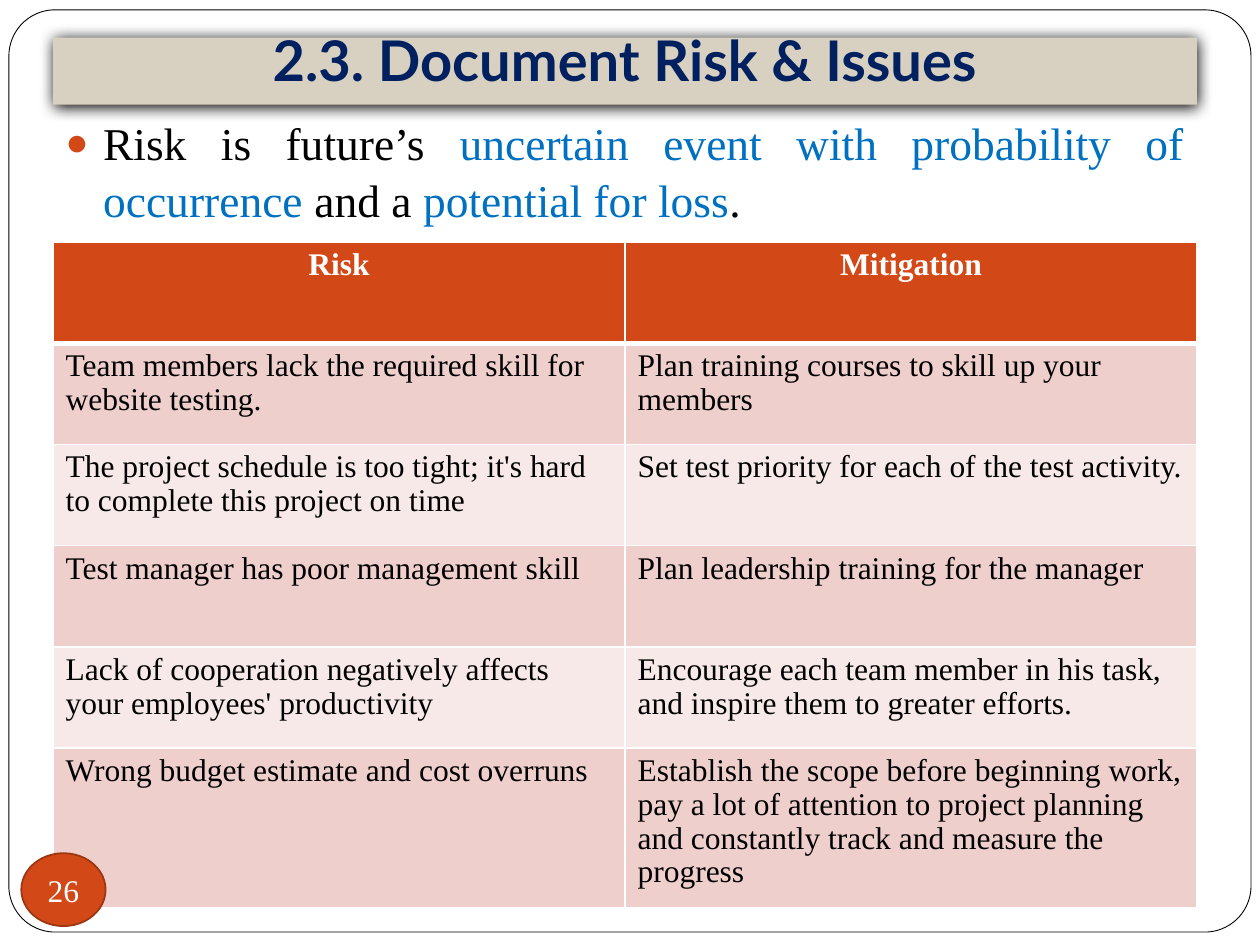
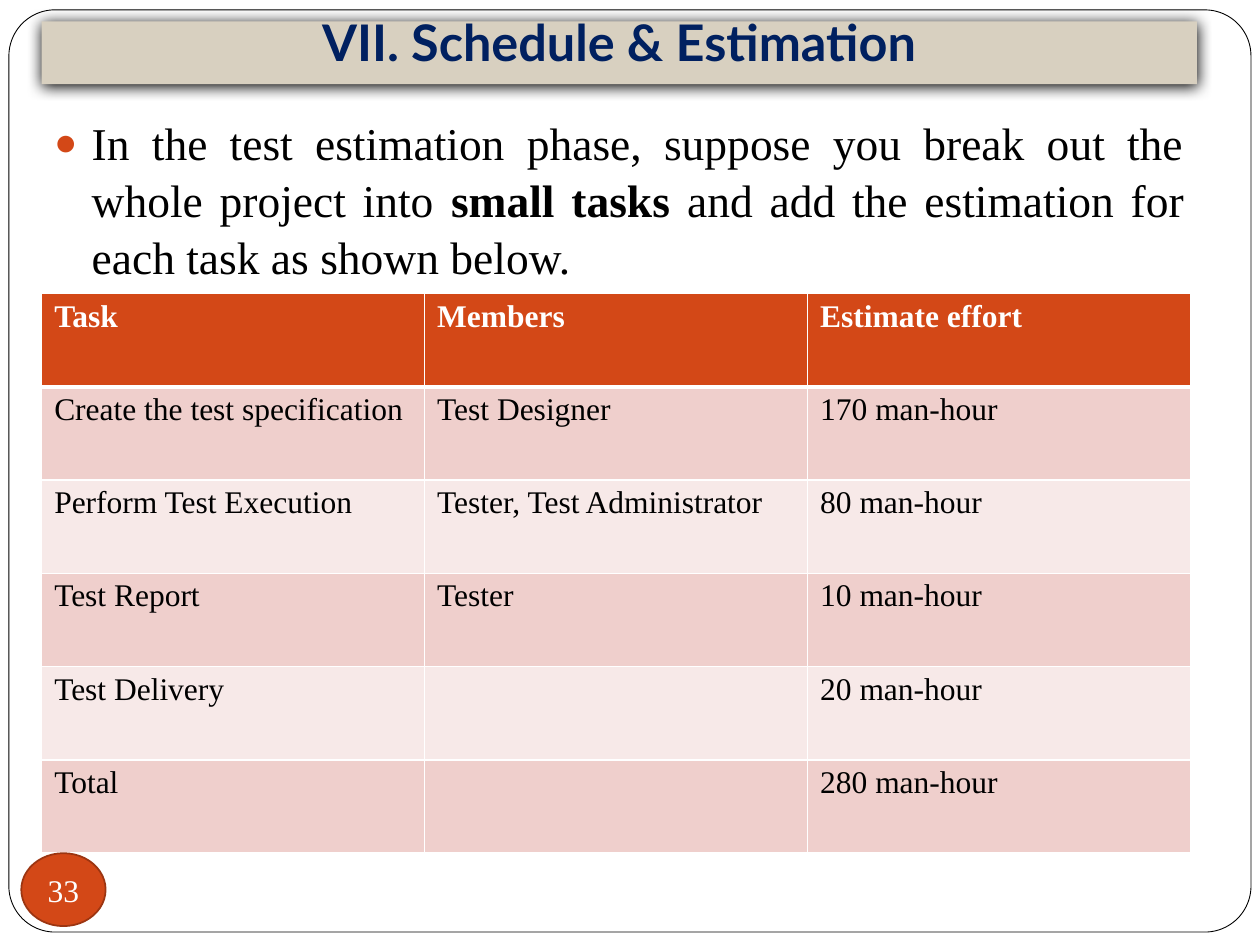
from dataclasses import dataclass

from lxml.etree import SubElement
from pptx import Presentation
from pptx.dml.color import RGBColor
from pptx.enum.shapes import MSO_SHAPE
from pptx.enum.text import MSO_ANCHOR, PP_ALIGN
from pptx.oxml.ns import qn
from pptx.util import Cm, Pt


@dataclass(frozen=True)
class Theme:
    white: str = "FFFFFF"
    black: str = "000000"
    band: str = "D8D0C0"
    navy: str = "002060"
    blue: str = "0070C0"
    accent: str = "D34817"
    accent_edge: str = "9C3511"
    row_fills: tuple = ("F7E9E8", "EFCFCC")
    title_font: str = "Lato"
    text_font: str = "Times New Roman"
    body_size: float = 26
    table_size: float = 18


THEME = Theme()

FRAME = (0.18, 0.2, 25.04, 18.59)
BADGE = (0.43, 17.2, 1.7, 1.47)
BODY_TOP = 2.11

SLIDES = [
    {
        "title": "2.3. Document Risk & Issues",
        "title_size": 32,
        "title_box": (1.07, 0.76, 23.06, 1.35),
        "body_height": 15.44,
        "body": [
            ("Risk is future’s ", {}),
            ("uncertain event with probability of occurrence ", {"color": THEME.blue}),
            ("and a ", {}),
            ("potential for loss", {"color": THEME.blue}),
            (".", {}),
        ],
        "table_top": 4.88,
        "table_width": 23.06,
        "row_heights": [2.04] * 5 + [2.96],
        "header_align": PP_ALIGN.CENTER,
        "rows": [
            ("Risk", "Mitigation"),
            ("Team members lack the required skill for website testing.",
             "Plan training courses to skill up your members"),
            ("The project schedule is too tight; it's hard to complete this project on time",
             "Set test priority for each of the test activity."),
            ("Test manager has poor management skill",
             "Plan leadership training for the manager"),
            ("Lack of cooperation negatively affects your employees' productivity",
             "Encourage each team member in his task, and inspire them to greater efforts."),
            ("Wrong budget estimate and cost overruns",
             "Establish the scope before beginning work, pay a lot of attention to project "
             "planning and constantly track and measure the progress"),
        ],
        "number": "26",
    },
    {
        "title": "VII. Schedule & Estimation",
        "title_size": 28.8,
        "title_box": (0.84, 0.43, 23.29, 1.27),
        "body_height": 16.41,
        "body": [
            ("In the test estimation phase, suppose you break out the whole project into ", {}),
            ("small tasks ", {"bold": True}),
            ("and add the estimation for each task as shown below.", {}),
        ],
        "table_top": 5.92,
        "table_width": 23.16,
        "row_heights": [1.88] * 6,
        "header_align": PP_ALIGN.LEFT,
        "rows": [
            ("Task", "Members", "Estimate effort"),
            ("Create the test specification", "Test Designer", "170 man-hour"),
            ("Perform Test Execution", "Tester, Test Administrator", "80 man-hour"),
            ("Test Report", "Tester", "10 man-hour"),
            ("Test Delivery", "", "20 man-hour"),
            ("Total", "", "280 man-hour"),
        ],
        "number": "33",
    },
]


def centimetres(box):
    return [Cm(value) for value in box]


def write(text_frame, text, *, size, font=THEME.text_font, color=THEME.black, bold=False,
          align=PP_ALIGN.LEFT, spacing=None, bullet=None):
    paragraph = text_frame.paragraphs[0]
    if bullet:
        add_bullet(paragraph, bullet)
    paragraph.alignment = align
    if spacing:
        paragraph.line_spacing = spacing
    pieces = [(text, {})] if isinstance(text, str) else text
    for words, changes in pieces:
        run = paragraph.add_run()
        run.text = words
        run.font.name = font
        run.font.size = Pt(size)
        run.font.bold = changes.get("bold", bold)
        run.font.color.rgb = RGBColor.from_string(changes.get("color", color))


def add_bullet(paragraph, character):
    properties = paragraph._p.get_or_add_pPr()
    properties.set("marL", str(Cm(0.76)))
    properties.set("indent", str(-Cm(0.76)))
    color = SubElement(properties, qn("a:buClr"))
    SubElement(color, qn("a:srgbClr"), val=THEME.accent)
    SubElement(properties, qn("a:buSzPct"), val="85000")
    SubElement(properties, qn("a:buFont"), typeface=THEME.text_font)
    SubElement(properties, qn("a:buChar"), char=character)


def add_panel(slide, kind, box, fill, line=None, line_width=0):
    shape = slide.shapes.add_shape(kind, *centimetres(box))
    shape.shadow.inherit = False
    shape.fill.solid()
    shape.fill.fore_color.rgb = RGBColor.from_string(fill)
    if line:
        shape.line.color.rgb = RGBColor.from_string(line)
        shape.line.width = Pt(line_width)
    else:
        shape.line.fill.background()
    return shape


def add_frame(slide):
    frame = add_panel(slide, MSO_SHAPE.ROUNDED_RECTANGLE, FRAME, THEME.white, THEME.black, 0.5)
    frame.adjustments[0] = 0.05


def add_title(slide, content):
    band = add_panel(slide, MSO_SHAPE.RECTANGLE, content["title_box"], THEME.band)
    effects = band._element.spPr.find(qn("a:effectLst"))
    shadow = SubElement(effects, qn("a:outerShdw"), blurRad=str(Pt(8.5)), dist=str(Pt(1)),
                        dir="5400000", algn="ctr", rotWithShape="0")
    SubElement(shadow, qn("a:srgbClr"), val=THEME.black)
    text_frame = band.text_frame
    text_frame.word_wrap = True
    text_frame.vertical_anchor = MSO_ANCHOR.BOTTOM
    text_frame.margin_bottom = Cm(0.25)
    write(text_frame, content["title"], size=content["title_size"], font=THEME.title_font,
          color=THEME.navy, bold=True, align=PP_ALIGN.CENTER)


def add_body(slide, content):
    left, _, width, _ = content["title_box"]
    box = slide.shapes.add_textbox(*centimetres((left, BODY_TOP, width, content["body_height"])))
    box.text_frame.word_wrap = True
    box.text_frame.margin_top = Cm(0.17)
    write(box.text_frame, content["body"], size=THEME.body_size, align=PP_ALIGN.JUSTIFY,
          spacing=1.04, bullet="●")


def set_borders(cell, **widths):
    properties = cell._tc.get_or_add_tcPr()
    for side in "LRTB":
        line = SubElement(properties, qn(f"a:ln{side}"), w=str(Pt(widths.get(side, 1))))
        fill = SubElement(line, qn("a:solidFill"))
        SubElement(fill, qn("a:srgbClr"), val=THEME.white)


def add_grid(slide, content):
    rows = content["rows"]
    heights = content["row_heights"]
    left = content["title_box"][0]
    box = (left, content["table_top"], content["table_width"], sum(heights))
    table = slide.shapes.add_table(len(rows), len(rows[0]), *centimetres(box)).table
    table.horz_banding = False
    for row_index, values in enumerate(rows):
        table.rows[row_index].height = Cm(heights[row_index])
        header = row_index == 0
        fill = THEME.accent if header else THEME.row_fills[row_index % 2]
        for column_index, value in enumerate(values):
            cell = table.cell(row_index, column_index)
            set_borders(cell, T=3 if row_index == 1 else 1, B=3 if header else 1)
            cell.fill.solid()
            cell.fill.fore_color.rgb = RGBColor.from_string(fill)
            if value:
                write(cell.text_frame, value, size=THEME.table_size, bold=header, spacing=0.97,
                      color=THEME.white if header else THEME.black,
                      align=content["header_align"] if header else PP_ALIGN.LEFT)


def add_badge(slide, number):
    badge = add_panel(slide, MSO_SHAPE.OVAL, BADGE, THEME.accent, THEME.accent_edge, 1)
    badge.text_frame.word_wrap = False
    badge.text_frame.vertical_anchor = MSO_ANCHOR.MIDDLE
    write(badge.text_frame, number, size=THEME.table_size, color=THEME.white,
          align=PP_ALIGN.CENTER)


def main():
    presentation = Presentation()
    presentation.slide_width = Cm(25.4)
    presentation.slide_height = Cm(19.05)
    for content in SLIDES:
        slide = presentation.slides.add_slide(presentation.slide_layouts[6])
        add_frame(slide)
        add_title(slide, content)
        add_body(slide, content)
        add_grid(slide, content)
        add_badge(slide, content["number"])
    presentation.save("out.pptx")


if __name__ == "__main__":
    main()
